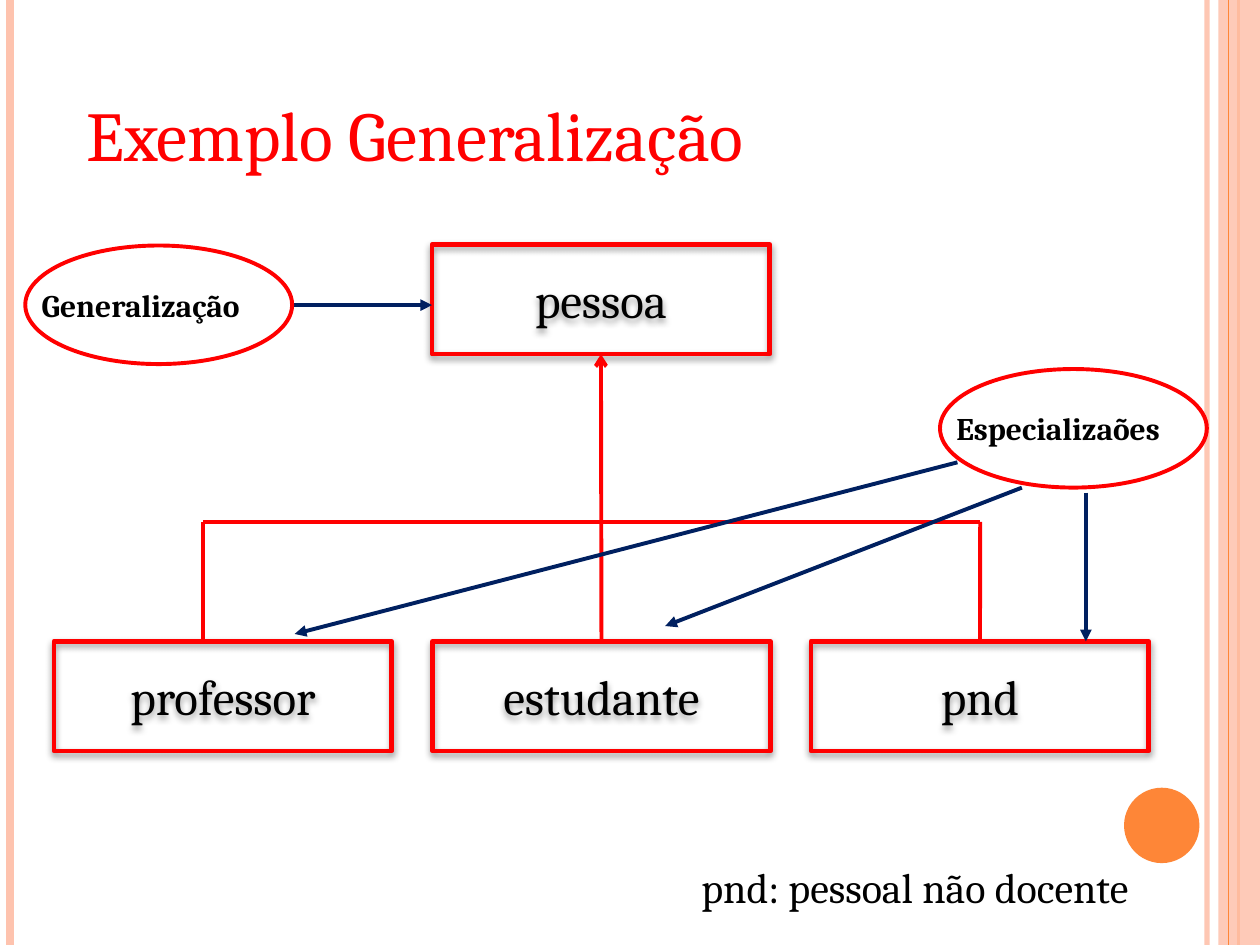
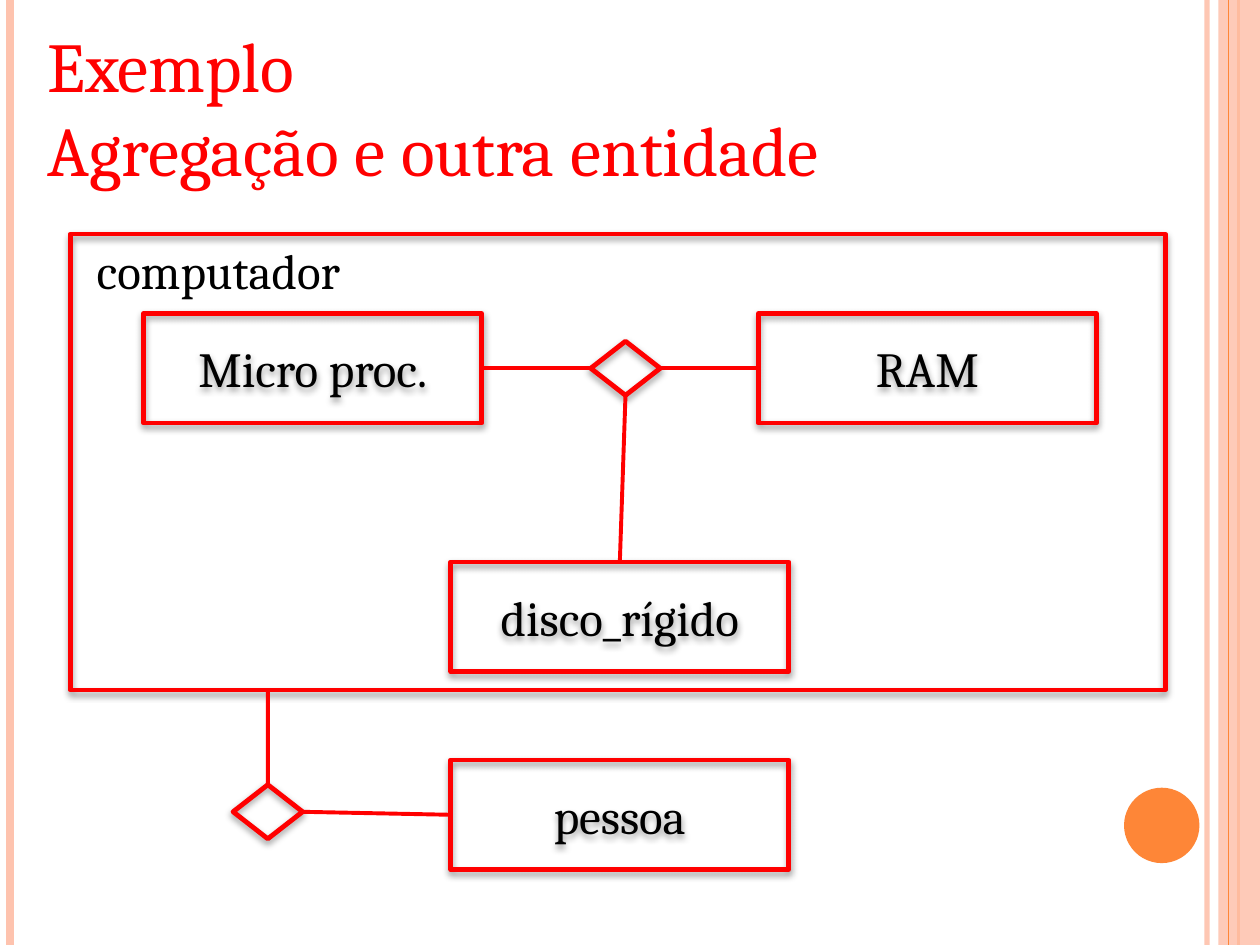
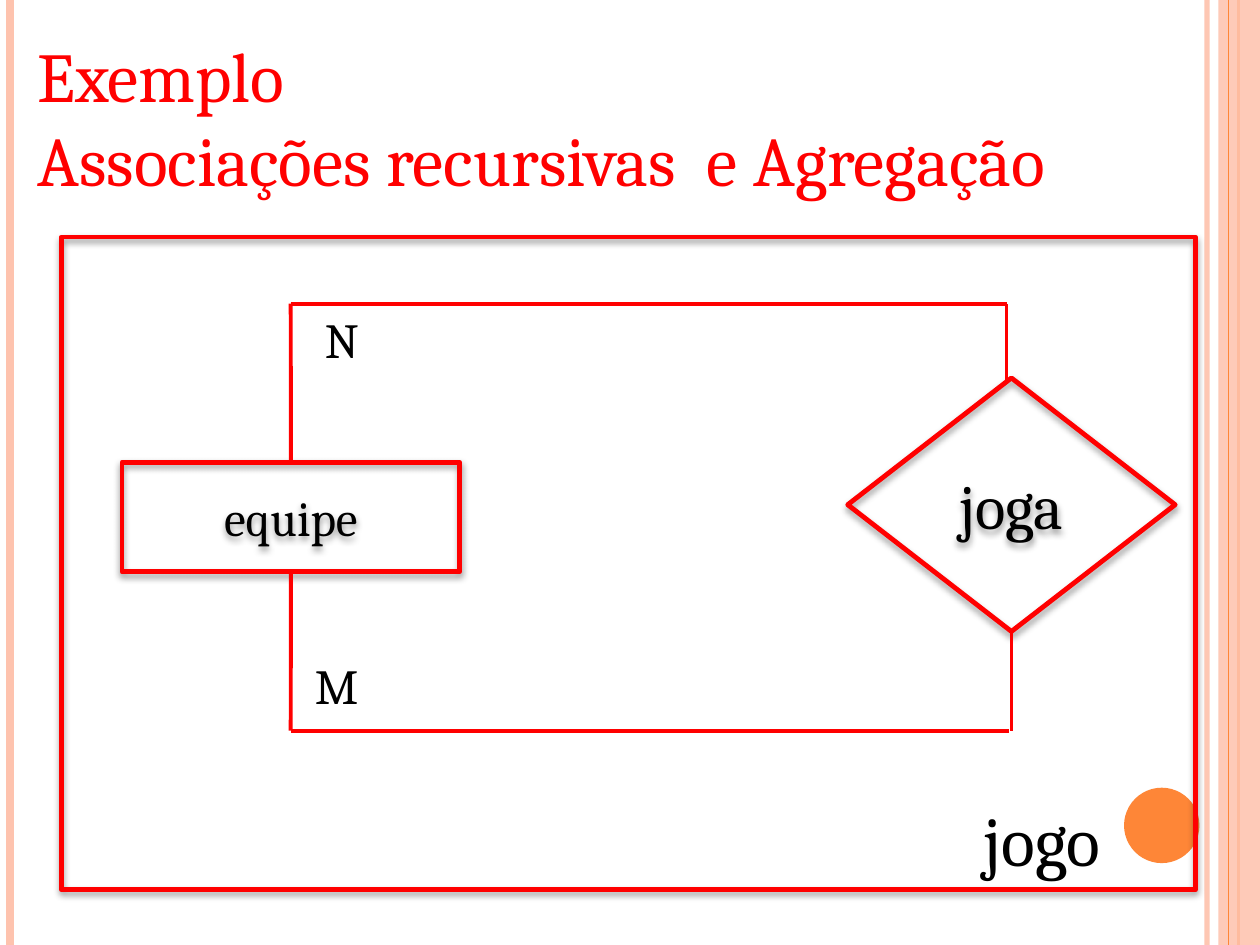
from lxml import etree
from pptx import Presentation
from pptx.dml.color import RGBColor
from pptx.enum.shapes import MSO_CONNECTOR, MSO_SHAPE
from pptx.enum.text import MSO_ANCHOR, MSO_AUTO_SIZE, PP_ALIGN
from pptx.oxml.ns import qn
from pptx.util import Cm, Pt

# Shared look
RED, NAVY, BLACK = "FF0000", "002060", "000000"
PEACH, ORANGE = "FEC3AE", "FE8637"
FONT = "Cambria"
PAGE_W, PAGE_H = 25.4, 19.05
ENTITY_W, ENTITY_H = 6.81, 2.21
LINK_W, OUTLINE_W = 2.25, 2.75
TOP, LEFT, BOTTOM, RIGHT = range(4)


def rgb(hex_code):
    return RGBColor.from_string(hex_code)


def set_all(target, formats):
    for name, value in formats.items():
        setattr(target, name, value)


def add_child(parent, tag, **attributes):
    child = etree.SubElement(parent, qn(tag))
    for name, value in attributes.items():
        child.set(name, str(value))
    return child


def set_opacity(part, percent):
    """Make the solid colour of a shape fill or a line translucent."""
    color = next(part.iter(qn("a:srgbClr")))
    add_child(color, "a:alpha", val=percent * 1000)


def write(frame, lines, size, color=BLACK, bold=False, align=PP_ALIGN.LEFT):
    for index, line in enumerate(lines.split("\n")):
        paragraph = frame.paragraphs[0] if index == 0 else frame.add_paragraph()
        paragraph.alignment = align
        run = paragraph.add_run()
        run.text = line
        set_all(run.font, {"name": FONT, "size": Pt(size), "bold": bold})
        run.font.color.rgb = rgb(color)


# Kinds of element
def label(slide, text, box, size, color=BLACK, bold=False, wrap=False):
    frame = slide.shapes.add_textbox(*map(Cm, box)).text_frame
    set_all(frame, {"word_wrap": wrap,
                    "auto_size": MSO_AUTO_SIZE.SHAPE_TO_FIT_TEXT})
    write(frame, text, size, color, bold)


def title(slide, text, box):
    label(slide, text, box, 40, RED)


def plain_shape(slide, kind, box, fill=None, outline=None, width=LINK_W):
    shape = slide.shapes.add_shape(kind, *map(Cm, box))
    shape.shadow.inherit = False
    if fill:
        shape.fill.solid()
        shape.fill.fore_color.rgb = rgb(fill)
    else:
        shape.fill.background()
    if outline:
        shape.line.color.rgb = rgb(outline)
        shape.line.width = Pt(width)
    else:
        shape.line.fill.background()
    return shape


def node(slide, box, text="", size=28, kind=MSO_SHAPE.RECTANGLE):
    """Red outline with a soft shadow below and an optional centred name."""
    shape = plain_shape(slide, kind, box, outline=RED, width=OUTLINE_W)
    effects = shape._element.spPr.find(qn("a:effectLst"))
    shadow = add_child(effects, "a:outerShdw", blurRad=Pt(4), dist=Pt(2),
                       dir=90 * 60000, rotWithShape=0)
    add_child(add_child(shadow, "a:srgbClr", val=BLACK), "a:alpha", val=40000)
    if text:
        shape.text_frame.vertical_anchor = MSO_ANCHOR.MIDDLE
        write(shape.text_frame, text, size, align=PP_ALIGN.CENTER)
    return shape


def entity(slide, text, left, top):
    return node(slide, (left, top, ENTITY_W, ENTITY_H), text)


def relation(slide, left, top):
    return node(slide, (left, top, 1.4, 1.09), kind=MSO_SHAPE.DIAMOND)


def link(slide, start, end, color=RED, width=LINK_W, head=None):
    """Join two ends, each an (x, y) point or a (shape, side) pair."""
    ends = [(0, 0) if hasattr(end_[0], "shape_id") else end_
            for end_ in (start, end)]
    line = slide.shapes.add_connector(
        MSO_CONNECTOR.STRAIGHT, *(Cm(value) for point in ends for value in point))
    for place, connect in ((start, line.begin_connect), (end, line.end_connect)):
        if hasattr(place[0], "shape_id"):
            connect(*place)
    line.line.color.rgb = rgb(color)
    line.line.width = Pt(width)
    if head:
        add_child(line.line._get_or_add_ln(), "a:tailEnd", type=head)
    add_child(line._element.spPr, "a:effectLst")
    return line


def callout(slide, text, left, top):
    plain_shape(slide, MSO_SHAPE.OVAL, (left, top, 5.38, 2.39), outline=RED)
    label(slide, text, (left + 0.08, top + 0.69, 5.66, 1.02), 18,
          bold=True, wrap=True)


def pointer(slide, start, end):
    link(slide, start, end, NAVY, head="triangle")


def framed_slide(deck):
    """Blank slide with the side bands and the orange disc."""
    slide = deck.slides.add_slide(deck.slide_layouts[6])

    def stripe(x, color, width):
        return link(slide, (x, 0), (x, PAGE_H), color, width)

    set_opacity(stripe(24.33, PEACH, 3)._element, 93)
    stripe(0.21, PEACH, 4.5)
    stripe(24.97, ORANGE, 1.5)
    band = plain_shape(slide, MSO_SHAPE.RECTANGLE,
                       (24.56, 0, PAGE_W - 24.56, PAGE_H), fill=PEACH)
    set_opacity(band._element, 87)
    stripe(24.77, ORANGE, 0.75)
    plain_shape(slide, MSO_SHAPE.OVAL, (22.66, 15.88, 1.52, 1.52), fill=ORANGE)
    return slide


# Slides
def generalization(deck):
    slide = framed_slide(deck)
    title(slide, "Exemplo Generalização", (1.5, 1.73, 16.41, 1.96))

    person = entity(slide, "pessoa", 8.71, 4.93)
    row_top, bar_y = 12.93, 10.52
    professor, student, staff = [
        entity(slide, name, 1.09 + 7.63 * column, row_top)
        for column, name in enumerate(("professor", "estudante", "pnd"))]
    label(slide, "pnd: pessoal não docente", (13.89, 17.25, 10.26, 1.27), 24)

    # Inheritance tree
    bar_left, bar_right = 4.09, 19.76
    link(slide, (student, TOP), (person, BOTTOM), head="arrow")
    link(slide, (bar_left, bar_y), (bar_right, bar_y))
    link(slide, (bar_left, bar_y), (bar_left, row_top))
    link(slide, (bar_right, bar_y), (staff, TOP))

    # Callouts and their pointers
    pointer(slide, (21.89, 9.93), (21.89, row_top))
    pointer(slide, (5.84, 6.15), (8.71, 6.15))
    callout(slide, "Generalização", 0.51, 4.95)
    callout(slide, "Especializaões", 18.95, 7.44)
    pointer(slide, (20.6, 9.83), (13.41, 12.62))
    pointer(slide, (19.3, 9.32), (5.94, 12.78))


def aggregation(deck):
    slide = framed_slide(deck)
    title(slide, "Exemplo\nAgregação e outra entidade", (0.71, 0.33, 18.54, 3.68))

    # Parts of the computer
    processor = entity(slide, "Micro proc.", 2.9, 6.32)
    memory = entity(slide, "RAM", 15.29, 6.32)
    parts = relation(slide, 11.91, 6.88)
    disk = entity(slide, "disco_rígido", 9.09, 11.33)
    link(slide, (processor, RIGHT), (parts, LEFT))
    link(slide, (parts, RIGHT), (memory, LEFT))
    link(slide, (parts, BOTTOM), (disk, TOP))
    node(slide, (1.42, 4.72, 22.07, 9.19))
    label(slide, "computador", (1.7, 4.72, 5.97, 1.45), 28)

    # Person related to the whole computer
    usage = relation(slide, 4.7, 15.82)
    person = entity(slide, "pessoa", 9.09, 15.32)
    link(slide, (usage, TOP), (5.4, 13.91))
    link(slide, (usage, RIGHT), (person, LEFT))


def recursive_association(deck):
    slide = framed_slide(deck)
    title(slide, "Exemplo\nAssociações recursivas  e Agregação",
          (0.51, 0.53, 24.1, 3.68))

    team = entity(slide, "equipe", 2.46, 9.32)
    plays = node(slide, (17.09, 7.62, 6.6, 5.11), "joga", 36, MSO_SHAPE.DIAMOND)

    # Loop from the team to the relation and back
    team_x, upper_y, lower_y = 5.86, 6.12, 14.73
    link(slide, (team, TOP), (team_x, upper_y))
    link(slide, (team_x, lower_y), (team, BOTTOM))
    link(slide, (team_x, upper_y), (20.29, upper_y))
    link(slide, (team_x, lower_y), (20.35, lower_y))
    link(slide, (20.39, lower_y), (plays, BOTTOM))
    link(slide, (20.29, 7.72), (20.29, upper_y))
    label(slide, "N", (6.3, 6.12, 1.32, 1.45), 28)
    label(slide, "M", (6.1, 13.08, 1.45, 1.45), 28)

    # Aggregate
    node(slide, (1.24, 4.78, 22.86, 13.16))
    label(slide, "jogo", (19.58, 15.93, 3.12, 1.96), 40)


def main():
    deck = Presentation()
    set_all(deck, {"slide_width": Cm(PAGE_W), "slide_height": Cm(PAGE_H)})
    for build in (generalization, aggregation, recursive_association):
        build(deck)
    deck.save("out.pptx")


if __name__ == "__main__":
    main()
